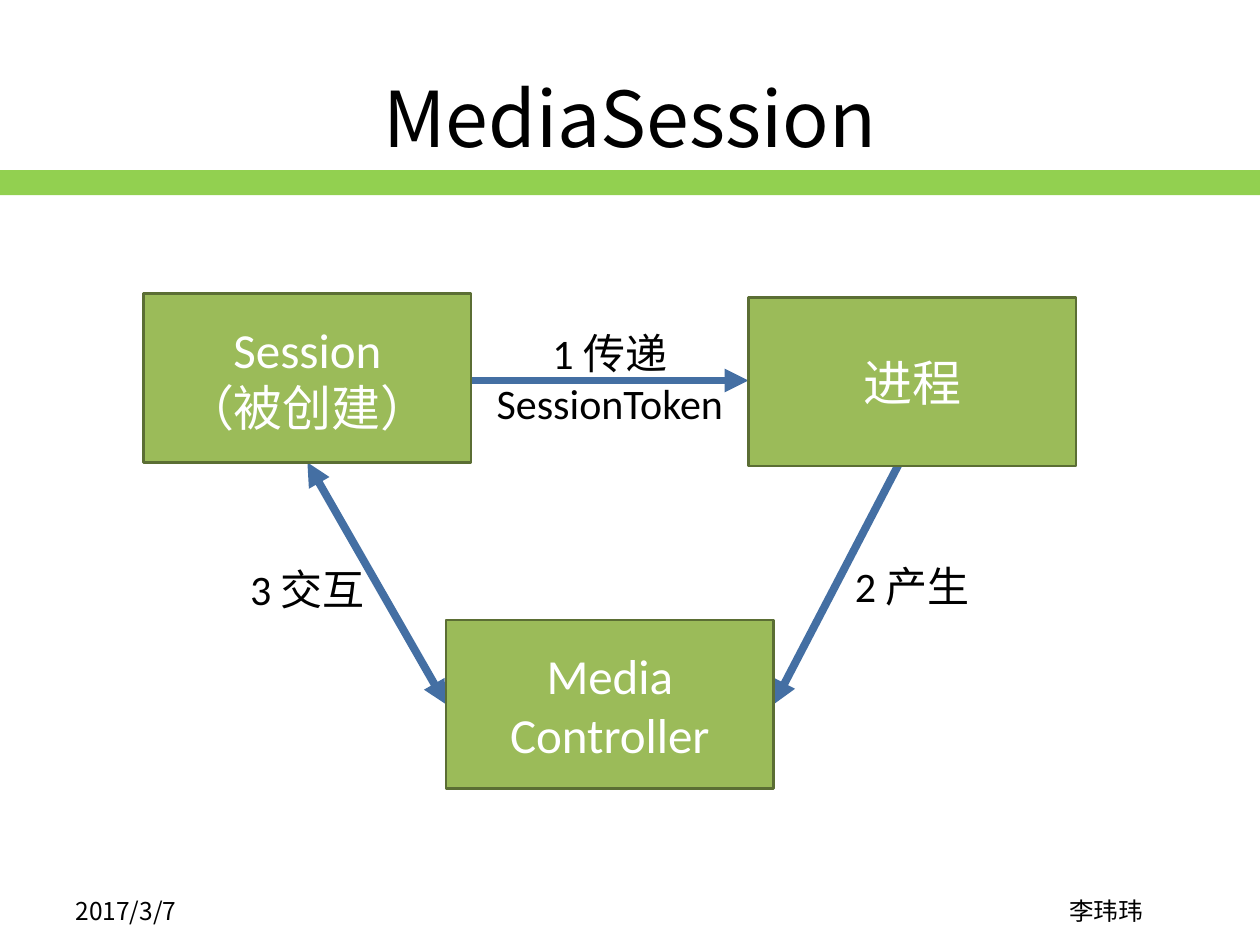
from pptx import Presentation
from pptx.dml.color import RGBColor
from pptx.enum.shapes import MSO_CONNECTOR, MSO_SHAPE
from pptx.enum.text import MSO_ANCHOR, PP_ALIGN
from pptx.oxml.ns import qn
from pptx.util import Inches, Pt
from lxml import etree

RECT, STRAIGHT = MSO_SHAPE.RECTANGLE, MSO_CONNECTOR.STRAIGHT
TOP, MIDDLE = MSO_ANCHOR.TOP, MSO_ANCHOR.MIDDLE
LEFT, CENTER = PP_ALIGN.LEFT, PP_ALIGN.CENTER
COLORS = {"text": "000000", "node_text": "FFFFFF", "bar": "92D050",
          "node": "9BBB59", "node_edge": "5B6E34", "arrow": "446FA3"}
LATIN, CJK = "Calibri", "Noto Sans CJK SC"
WIDTH, HEIGHT = 10, 7.5
NODE_W, NODE_H = 2.6, 1.34
LABEL_W, LABEL_H = 2.45, 0.96


def rgb(name):
    return RGBColor.from_string(COLORS[name])


def write(shape, text, size, font=LATIN, color="text", align=CENTER, anchor=MIDDLE):
    """Fill a shape with one paragraph; a vertical tab breaks the line."""
    tf = shape.text_frame
    tf.word_wrap, tf.vertical_anchor = True, anchor
    p = tf.paragraphs[0]
    p.text, p.alignment = text, align
    for r in p.runs:
        for key, value in {"size": Pt(size), "name": font}.items():
            setattr(r.font, key, value)
        r.font.color.rgb = rgb(color)
        ea = etree.SubElement(r.font._element, qn("a:ea"))
        ea.set("typeface", CJK)


def add_text(slide, box, text, size, **style):
    write(slide.shapes.add_textbox(*map(Inches, box)), text, size, **style)


def add_rect(slide, box, fill, edge=None):
    sp = slide.shapes.add_shape(RECT, *map(Inches, box))
    sp.shadow.inherit = False
    sp.fill.solid()
    sp.fill.fore_color.rgb = rgb(fill)
    if edge:
        sp.line.color.rgb = rgb(edge)
        sp.line.width = Pt(1.5)
    else:
        sp.line.fill.background()
    return sp


def add_arrow(slide, start, end, heads=("tailEnd",)):
    line = slide.shapes.add_connector(STRAIGHT, *map(Inches, start + end))
    line.line.color.rgb = rgb("arrow")
    line.line.width = Pt(4.5)
    ln = line.line._get_or_add_ln()
    for head in heads:
        etree.SubElement(ln, qn(f"a:{head}")).set("type", "triangle")
    etree.SubElement(line._element.spPr, qn("a:effectLst"))


def header(slide, box):
    x, y, w, h = box
    # Green bar at the foot of the header
    bar_h = 0.2
    add_rect(slide, (x, y + h - bar_h, w, bar_h), "bar")
    # Title
    margin = 0.05 * w
    add_text(slide, (x + margin, y + 0.3, w - 2 * margin, h - 0.3),
             "MediaSession", 44, font=CJK)


def diagram(slide, box):
    x, y, w, h = box
    centre = x + w / 2
    right, bottom = x + w - NODE_W, y + h - NODE_H
    middle = centre - NODE_W / 2

    # Arrows: session to process, process to controller, controller and session
    level = y + NODE_H / 2 + 0.02
    low = bottom + NODE_H / 2
    add_arrow(slide, (x + NODE_W, level), (right, level))
    add_arrow(slide, (right + 1.19, y + NODE_H + 0.02), (middle + NODE_W, low))
    add_arrow(slide, (x + NODE_W / 2, y + NODE_H), (middle, low),
              heads=("headEnd", "tailEnd"))

    # Nodes
    nodes = [(x, y, "Session\v（被创建）"),
             (right, y + 0.03, "进程"),
             (middle, bottom, "Media Controller")]
    for left, top, text in nodes:
        node = add_rect(slide, (left, top, NODE_W, NODE_H), "node", "node_edge")
        write(node, text, 28, color="node_text")

    # Arrow labels, by centre
    labels = [(centre, level - 0.02, "1 传递SessionToken"),
              (centre + 2.4, y + 2.32, "2 产生"),
              (centre - 2.4, y + 2.34, "3 交互")]
    for cx, cy, text in labels:
        add_text(slide, (cx - LABEL_W / 2, cy - LABEL_H / 2, LABEL_W, LABEL_H),
                 text, 24)


def footer(slide, box):
    x, y, w, h = box
    style = {"font": CJK, "anchor": TOP}
    add_text(slide, (x, y, 1.51, h), "2017/3/7", 14, align=LEFT, **style)
    add_text(slide, (x + w - 0.94, y, 0.94, h), "李玮玮", 14, **style)


def main():
    prs = Presentation()
    prs.slide_width, prs.slide_height = Inches(WIDTH), Inches(HEIGHT)
    slide = prs.slides.add_slide(prs.slide_layouts[6])
    footer(slide, (0.05 * WIDTH, 7.06, 0.875 * WIDTH, 0.34))
    header(slide, (0, 0, WIDTH, 1.55))
    diagram(slide, (1.14, 2.33, 7.4, 3.93))
    prs.save("out.pptx")


if __name__ == "__main__":
    main()
